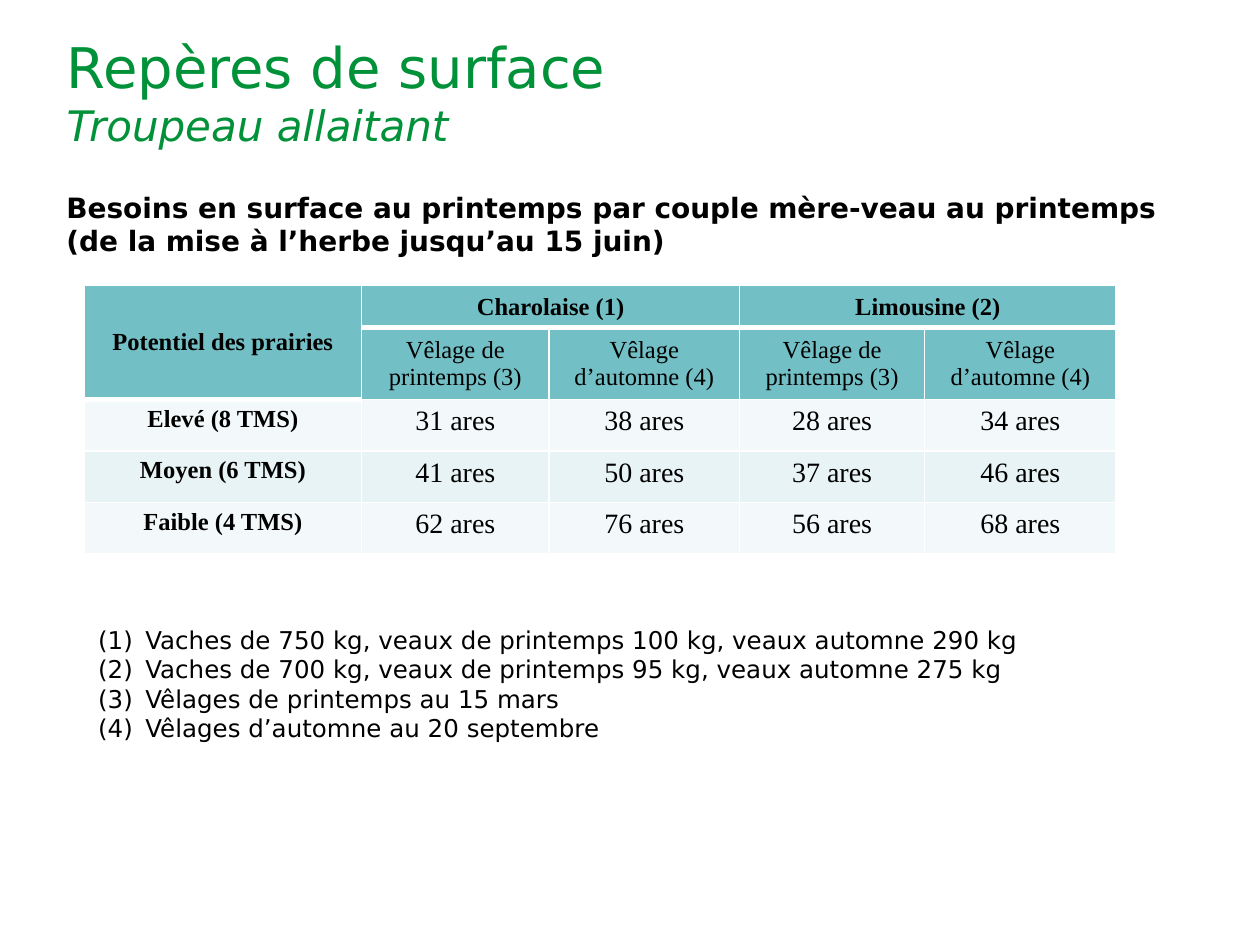
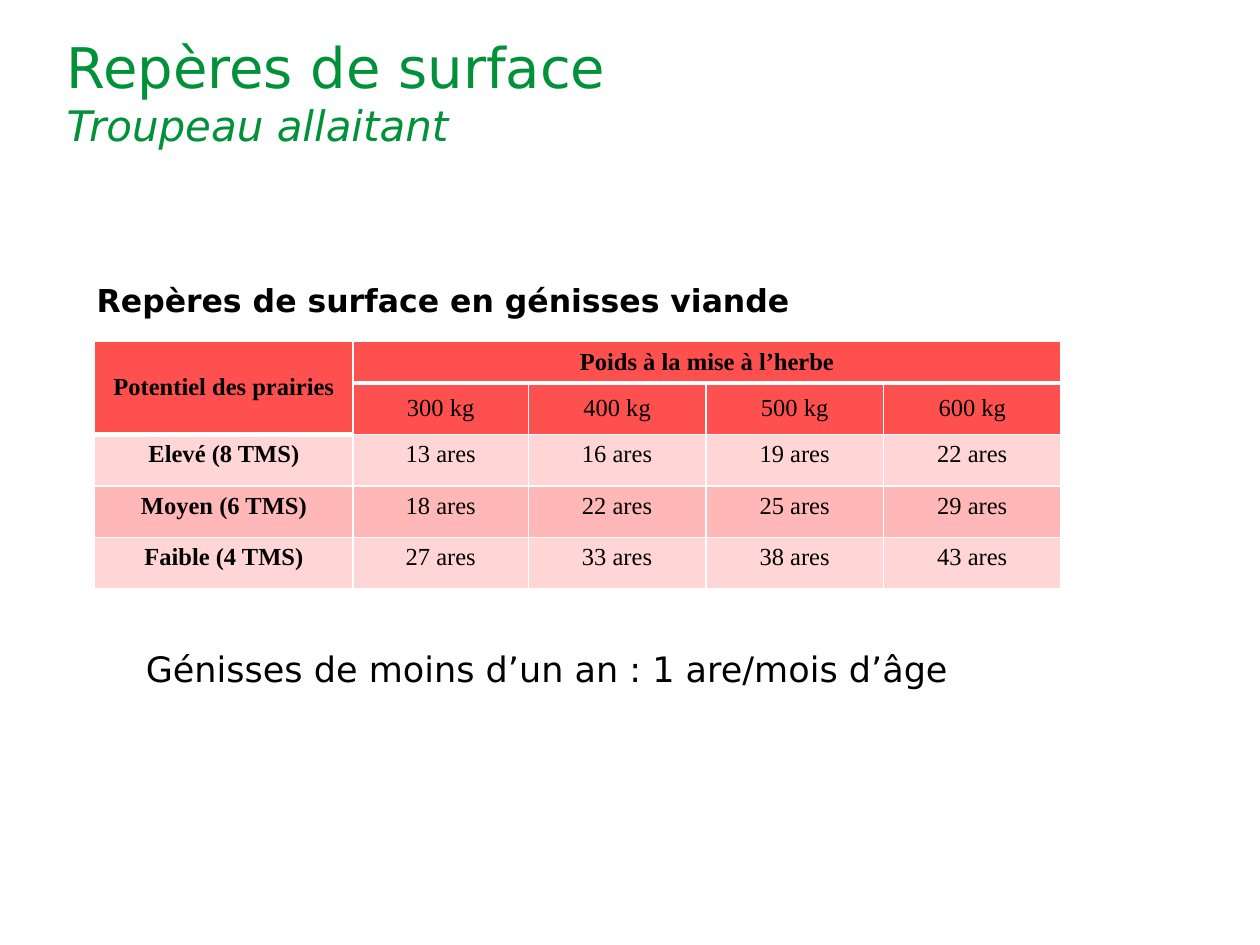
from pptx import Presentation
from pptx import util as u
from pptx.dml.color import RGBColor
from pptx.enum import text
from pptx.oxml.ns import qn
from lxml import etree

GREEN = RGBColor(0x00, 0x91, 0x39)
BLACK = RGBColor(0x00, 0x00, 0x00)
TEAL, TEAL_PALE, TEAL_LIGHT = (RGBColor.from_string(c) for c in ("72BFC5", "F3F9FA", "E7F3F4"))
RED, RED_PALE, RED_LIGHT = (RGBColor.from_string(c) for c in ("FF5050", "FFD5D5", "FFB7B7"))
TEXT_FONT = "DejaVu Sans"
TABLE_FONT = "Times New Roman"
POTENTIALS = ["Elevé (8 TMS)", "Moyen (6 TMS)", "Faible (4 TMS)"]


class Deck:
    """Shared style and the slide being built."""

    def __init__(self):
        self.presentation = Presentation()
        self.presentation.slide_width = u.Cm(25.4)
        self.presentation.slide_height = u.Cm(19.05)
        self.slide = None

    def style(self, paragraph, size, color=BLACK, bold=False, italic=False, name=TEXT_FONT):
        for run in paragraph.runs:
            font = run.font
            font.name, font.size, font.bold, font.italic = name, u.Pt(size), bold, italic
            font.color.rgb = color

    def add_slide(self, title, subtitle):
        self.slide = self.presentation.slides.add_slide(self.presentation.slide_layouts[5])
        shape = self.slide.shapes.title
        shape.left, shape.top = u.Cm(1.09), u.Cm(0.53)
        shape.width, shape.height = u.Cm(11.46), u.Cm(2.64)
        frame = shape.text_frame
        frame.text = f"{title}\n{subtitle}"
        frame.word_wrap = False
        frame.auto_size = text.MSO_AUTO_SIZE.SHAPE_TO_FIT_TEXT
        frame.vertical_anchor = text.MSO_ANCHOR.TOP
        for paragraph in frame.paragraphs:
            paragraph.alignment = text.PP_ALIGN.LEFT
        self.style(frame.paragraphs[0], 32, GREEN)
        self.style(frame.paragraphs[1], 24, GREEN, italic=True)

    def add_text(self, left, top, width, height, lines, size, bold=False, numbered=False):
        box = self.slide.shapes.add_textbox(u.Cm(left), u.Cm(top), u.Cm(width), u.Cm(height))
        frame = box.text_frame
        frame.word_wrap = True
        frame.auto_size = text.MSO_AUTO_SIZE.SHAPE_TO_FIT_TEXT
        frame.text = "\n".join(lines)
        for paragraph in frame.paragraphs:
            if numbered:
                self.number(paragraph)
            self.style(paragraph, size, bold=bold)

    def number(self, paragraph):
        properties = paragraph._p.get_or_add_pPr()
        indent = u.Cm(0.95)
        properties.set("marL", str(indent))
        properties.set("indent", str(-indent))
        etree.SubElement(properties, qn("a:buFont"), typeface="+mj-lt")
        etree.SubElement(properties, qn("a:buAutoNum"), type="arabicParenBoth")

    def add_borders(self, cell, row, column):
        def edge_width(edge):
            return 3 if edge == 1 or (edge == 2 and column == 0) else 1

        widths = {"L": 1, "R": 1, "T": edge_width(row), "B": edge_width(row + 1)}
        for side, width in widths.items():
            line = etree.SubElement(cell._tc.get_or_add_tcPr(), qn(f"a:ln{side}"), w=str(u.Pt(width)))
            fill = etree.SubElement(line, qn("a:solidFill"))
            etree.SubElement(fill, qn("a:srgbClr"), val="FFFFFF")

    def add_table(self, left, top, height, column_widths, groups, subheads, values,
                  value_size, fills):
        """Two header rows, then one row per potential; groups share the columns equally."""
        head_fill, pale_fill, light_fill = fills
        span = len(subheads) // len(groups)
        group_row = ["Potentiel des prairies"]
        for group in groups:
            group_row += [group] + [""] * (span - 1)
        rows = [group_row, [""] + subheads]
        rows += [[name] + [f"{value} ares" for value in line]
                 for name, line in zip(POTENTIALS, values)]

        shape = self.slide.shapes.add_table(len(rows), len(group_row), u.Cm(left), u.Cm(top),
                                            u.Cm(sum(column_widths)), u.Cm(height))
        table = shape.table
        table.first_row = table.horz_banding = False
        for column, width in zip(table.columns, column_widths):
            column.width = u.Cm(width)
        for index, row in enumerate(table.rows):
            row.height = u.Cm(1.04 if index else 0.61)
        shape.height = u.Cm(height)

        for r, row in enumerate(rows):
            for c, label in enumerate(row):
                cell = table.cell(r, c)
                self.add_borders(cell, r, c)
                cell.fill.solid()
                cell.fill.fore_color.rgb = head_fill if r < 2 else light_fill if r == 3 else pale_fill
                cell.vertical_anchor = text.MSO_ANCHOR.MIDDLE if r < 2 else text.MSO_ANCHOR.TOP
                cell.text_frame.text = label
                paragraph = cell.text_frame.paragraphs[0]
                paragraph.alignment = text.PP_ALIGN.CENTER
                self.style(paragraph, value_size if r > 1 and c else 14,
                           bold=r == 0 or c == 0, name=TABLE_FONT)

        # Merged headings
        table.cell(0, 0).merge(table.cell(1, 0))
        for first in range(1, len(group_row), span):
            table.cell(0, first).merge(table.cell(0, first + span - 1))


def main():
    deck = Deck()

    # Cow and calf pairs
    deck.add_slide("Repères de surface", "Troupeau allaitant")
    deck.add_text(1.09, 3.71, 23.01, 1.63,
                  ["Besoins en surface au printemps par couple mère-veau au printemps",
                   "(de la mise à l’herbe jusqu’au 15 juin)"], 16, bold=True)
    deck.add_table(1.7, 5.76, 5.97, [5.59, 3.78, 3.84, 3.73, 3.86],
                   ["Charolaise (1)", "Limousine (2)"],
                   ["Vêlage de printemps (3)", "Vêlage d’automne (4)"] * 2,
                   [[31, 38, 28, 34], [41, 50, 37, 46], [62, 76, 56, 68]],
                   16, (TEAL, TEAL_PALE, TEAL_LIGHT))
    deck.add_text(1.73, 12.47, 23.01, 2.64,
                  ["Vaches de 750 kg, veaux de printemps 100 kg, veaux automne 290 kg",
                   "Vaches de 700 kg, veaux de printemps 95 kg, veaux automne 275 kg",
                   "Vêlages de printemps au 15 mars",
                   "Vêlages d’automne au 20 septembre"], 14, numbered=True)

    # Heifers
    deck.add_slide("Repères de surface", "Troupeau allaitant")
    deck.add_text(1.7, 5.54, 21.21, 1.02, ["Repères de surface en génisses viande"], 18, bold=True)
    deck.add_table(1.91, 6.87, 4.98, [5.21, 3.53, 3.58, 3.58, 3.58],
                   ["Poids à la mise à l’herbe"],
                   [f"{weight} kg" for weight in range(300, 700, 100)],
                   [[13, 16, 19, 22], [18, 22, 25, 29], [27, 33, 38, 43]],
                   14, (RED, RED_PALE, RED_LIGHT))
    deck.add_text(2.69, 12.93, 17.6, 1.12, ["Génisses de moins d’un an : 1 are/mois d’âge"], 20)

    deck.presentation.save("out.pptx")


if __name__ == "__main__":
    main()
